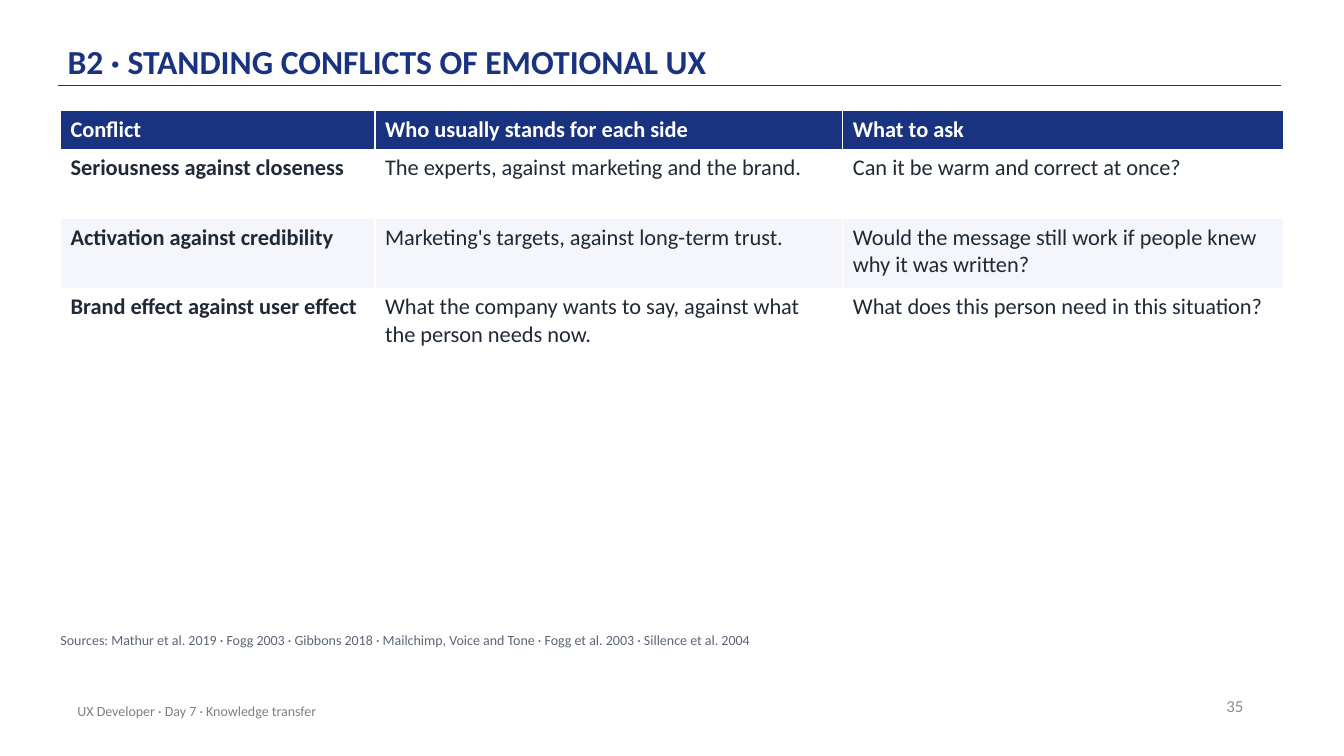
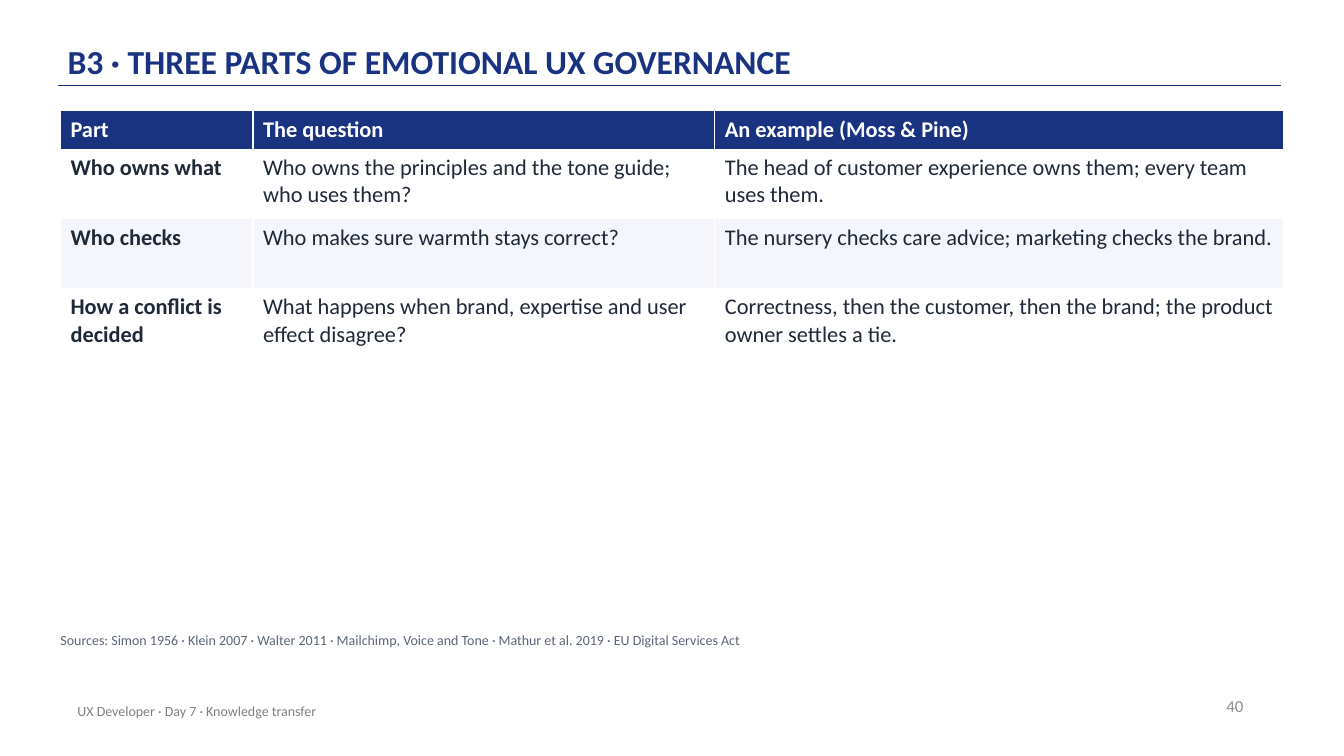
from dataclasses import dataclass
from pptx import Presentation, util as u
from pptx.dml.color import RGBColor
from pptx.enum import shapes, text
from pptx.oxml import ns, xmlchemy

PX = 9144


@dataclass(frozen=True)
class Theme:
    face: str = "Calibri"
    navy: str = "1A3381"
    ink: str = "1F2937"
    slate: str = "5B6577"
    gray: str = "808080"
    pale: str = "8C8C8C"
    band: str = "F4F6FB"
    white: str = "FFFFFF"
    head: int = 24
    body: int = 16
    page: int = 12
    small: int = 10


T = Theme()
FOOTER = "UX Developer · Day 7 · Knowledge transfer"
HEAD_ROW, BODY_ROW = 38, 69

SLIDES = [
    dict(
        title="B2 · STANDING CONFLICTS OF EMOTIONAL UX",
        page=35,
        cols=[312, 464, 437],
        rows=[
            ["Conflict", "Who usually stands for each side", "What to ask"],
            ["Seriousness against closeness",
             "The experts, against marketing and the brand.",
             "Can it be warm and correct at once?"],
            ["Activation against credibility",
             "Marketing's targets, against long-term trust.",
             "Would the message still work if people knew why it was written?"],
            ["Brand effect against user effect",
             "What the company wants to say, against what the person needs now.",
             "What does this person need in this situation?"],
        ],
        source="Sources: Mathur et al. 2019 · Fogg 2003 · Gibbons 2018 · Mailchimp, Voice and Tone"
               " · Fogg et al. 2003 · Sillence et al. 2004",
    ),
    dict(
        title="B3 · THREE PARTS OF EMOTIONAL UX GOVERNANCE",
        page=40,
        cols=[191, 458, 564],
        rows=[
            ["Part", "The question", "An example (Moss & Pine)"],
            ["Who owns what",
             "Who owns the principles and the tone guide; who uses them?",
             "The head of customer experience owns them; every team uses them."],
            ["Who checks",
             "Who makes sure warmth stays correct?",
             "The nursery checks care advice; marketing checks the brand."],
            ["How a conflict is decided",
             "What happens when brand, expertise and user effect disagree?",
             "Correctness, then the customer, then the brand; the product owner settles a tie."],
        ],
        source="Sources: Simon 1956 · Klein 2007 · Walter 2011 · Mailchimp, Voice and Tone"
               " · Mathur et al. 2019 · EU Digital Services Act",
    ),
]


def px(*sizes):
    return [u.Emu(size * PX) for size in sizes]


def apply(item, values):
    for name, value in values.items():
        setattr(item, name, value)


def write(frame, words, size, color, bold=False, **para):
    line = frame.paragraphs[0]
    apply(line, para)
    run = line.add_run()
    run.text = words
    apply(run.font, dict(name=T.face, size=u.Pt(size), bold=bold))
    run.font.color.rgb = RGBColor.from_string(color)


def add_text(slide, box, words, size, color, frame=None, **style):
    area = slide.shapes.add_textbox(*px(*box)).text_frame
    apply(area, dict(word_wrap=True, vertical_anchor=text.MSO_ANCHOR.MIDDLE) | (frame or {}))
    write(area, words, size, color, **style)


def add_rule(slide):
    rule = slide.shapes.add_connector(shapes.MSO_CONNECTOR.STRAIGHT, *px(58, 85, 1271, 85))
    rule.line.width = u.Pt(1)
    rule.line.color.rgb = RGBColor.from_string(T.navy)
    rule._element.spPr.append(xmlchemy.OxmlElement("a:effectLst"))


def add_frame(slide, title, page):
    add_rule(slide)
    inset = u.Emu(3 * PX)
    add_text(slide, (67, 12, 1100, 72), title, T.head, T.navy,
             frame=dict(vertical_anchor=text.MSO_ANCHOR.BOTTOM, margin_left=0,
                        margin_right=0, margin_top=inset, margin_bottom=inset),
             bold=True, line_spacing=0.9)
    add_text(slide, (943, 680, 300, 40), str(page), T.page, T.pale,
             alignment=text.PP_ALIGN.RIGHT)
    add_text(slide, (67, 685, 670, 40), FOOTER, T.small, T.gray)


def add_table(slide, cols, rows):
    tall = [HEAD_ROW] + [BODY_ROW] * (len(rows) - 1)
    box = px(60, 110, sum(cols), sum(tall))
    table = slide.shapes.add_table(len(rows), len(cols), *box).table
    for col, width in zip(table.columns, px(*cols)):
        col.width = width
    for row, height in zip(table.rows, px(*tall)):
        row.height = height
    for r, row in enumerate(rows):
        head = r == 0
        fill = T.navy if head else T.white if r % 2 else T.band
        for c, words in enumerate(row):
            cell = table.cell(r, c)
            cell.fill.solid()
            cell.fill.fore_color.rgb = RGBColor.from_string(fill)
            write(cell.text_frame, words, T.body, T.white if head else T.ink,
                  bold=head or c == 0)


def add_source(slide, words):
    sides = ("left", "right", "top", "bottom")
    frame = {f"margin_{side}": 0 for side in sides}
    frame["vertical_anchor"] = text.MSO_ANCHOR.TOP
    add_text(slide, (60, 627, 1210, 30), words, T.small, T.slate, frame=frame)


def main():
    deck = Presentation()
    apply(deck, dict(slide_width=u.Emu(1333 * PX), slide_height=u.Emu(750 * PX)))
    for page in SLIDES:
        slide = deck.slides.add_slide(deck.slide_layouts[6])
        add_frame(slide, page["title"], page["page"])
        add_table(slide, page["cols"], page["rows"])
        add_source(slide, page["source"])
    deck.save("out.pptx")


if __name__ == "__main__":
    main()
